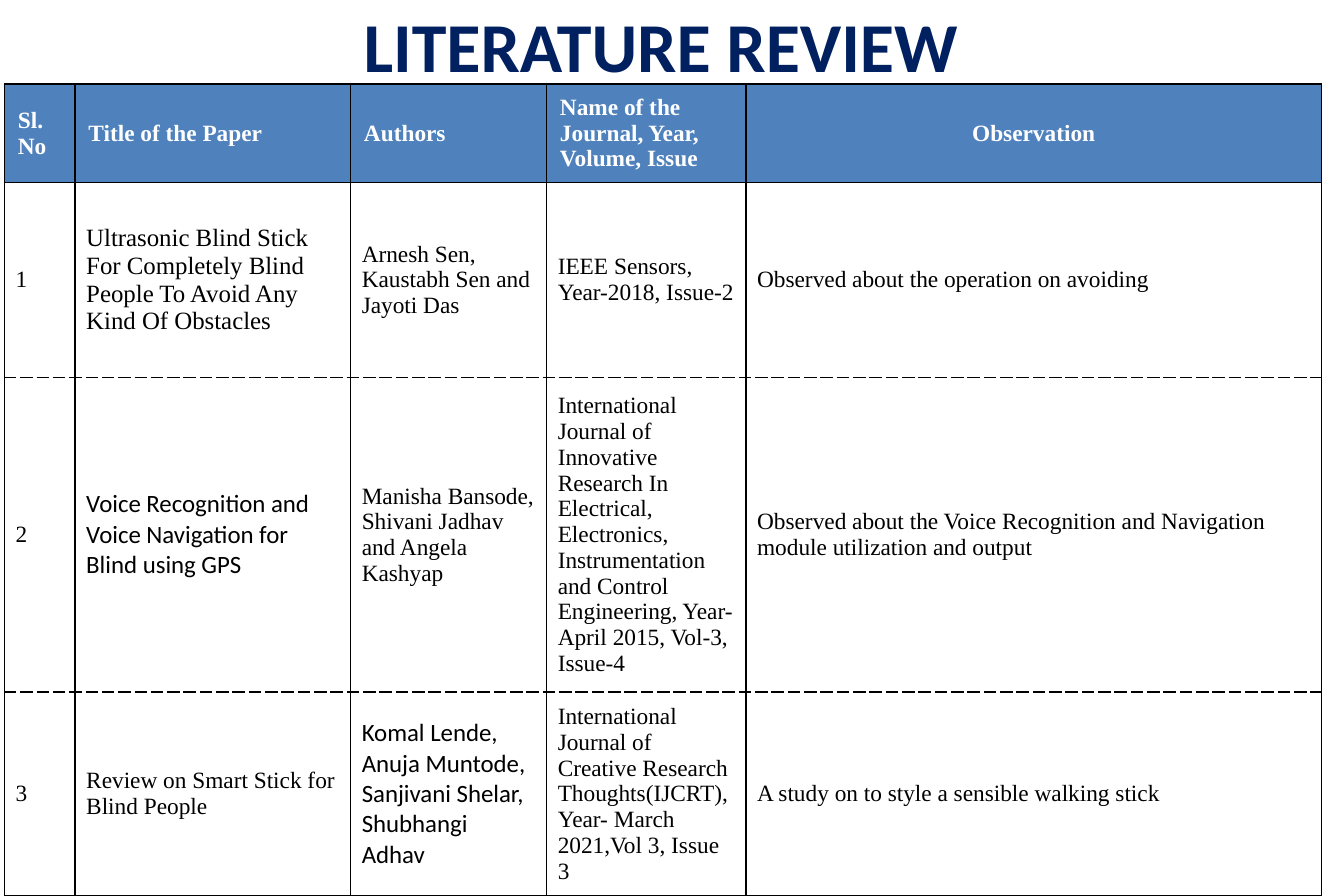
import pptx
import pptx.dml.color
import pptx.enum.text
import pptx.oxml.ns
import pptx.util
from lxml import etree

Inches = pptx.util.Inches
RGBColor = pptx.dml.color.RGBColor
PP_ALIGN = pptx.enum.text.PP_ALIGN
MIDDLE = pptx.enum.text.MSO_ANCHOR.MIDDLE

NAVY = RGBColor(0x00, 0x20, 0x60)
BLUE = RGBColor(0x4F, 0x81, 0xBD)
WHITE = RGBColor(0xFF, 0xFF, 0xFF)
BLACK = RGBColor(0x00, 0x00, 0x00)
SERIF, SANS = "Times New Roman", "Calibri"

TITLE = "LITERATURE REVIEW"
HEADINGS = ["Sl. No", "Title of the Paper", "Authors",
            "Name of the Journal, Year, Volume, Issue", "Observation"]
PAPERS = [
    ["1",
     "Ultrasonic Blind Stick For Completely Blind People To Avoid Any Kind Of Obstacles",
     "Arnesh Sen, Kaustabh Sen and Jayoti Das",
     "IEEE Sensors, Year-2018, Issue-2",
     "Observed about the operation on avoiding"],
    ["2",
     "Voice Recognition and Voice Navigation for Blind using GPS",
     "Manisha Bansode, Shivani Jadhav and Angela Kashyap",
     "International Journal of Innovative Research In Electrical, Electronics, "
     "Instrumentation and Control Engineering, Year-April 2015, Vol-3, Issue-4",
     "Observed about the Voice Recognition and Navigation module utilization and output"],
    ["3",
     "Review on Smart Stick for Blind People",
     "Komal Lende, Anuja Muntode, Sanjivani Shelar, Shubhangi Adhav",
     "International Journal of Creative Research Thoughts(IJCRT), "
     "Year- March 2021,Vol 3, Issue 3",
     "A study on to style a sensible walking stick"],
]
# (row, column) of the cells set in another font or size
CELL_FORMATS = {
    (1, 1): {"size": 16},
    (2, 1): {"size": 16, "font": SANS},
    (3, 2): {"size": 16, "font": SANS},
}
COLUMN_WIDTHS = [0.63, 2.46, 1.75, 1.78, 5.14]
ROW_HEIGHTS = [0.88, 1.74, 2.81, 1.82]


def write_text(holder, text, size=15, font=SERIF, color=BLACK, bold=False,
               align=PP_ALIGN.LEFT, margins=(0.1, 0.05)):
    """Fill a cell or a text frame with one formatted paragraph."""
    holder.vertical_anchor = MIDDLE
    holder.margin_left = holder.margin_right = Inches(margins[0])
    holder.margin_top = holder.margin_bottom = Inches(margins[1])
    frame = getattr(holder, "text_frame", holder)
    frame.word_wrap = True
    paragraph = frame.paragraphs[0]
    paragraph.alignment = align
    run = paragraph.add_run()
    run.text = text
    run.font.size = pptx.util.Pt(size)
    run.font.name = font
    run.font.bold = bold
    run.font.color.rgb = color


def set_borders(cell, dashed_sides):
    properties = cell._tc.get_or_add_tcPr()
    qn = pptx.oxml.ns.qn
    for position, side in enumerate("LRTB"):
        line = etree.Element(qn(f"a:ln{side}"), w=str(pptx.util.Pt(1)))
        fill = etree.SubElement(line, qn("a:solidFill"))
        etree.SubElement(fill, qn("a:srgbClr"), val=str(BLACK))
        dash = "sysDash" if side in dashed_sides else "solid"
        etree.SubElement(line, qn("a:prstDash"), val=dash)
        properties.insert(position, line)


def add_title(slide):
    title = slide.shapes.title
    title.left, title.top = Inches(0.5), Inches(-0.33)
    title.width, title.height = Inches(10.8), Inches(1.46)
    write_text(title.text_frame, TITLE, size=45, font=SANS, color=NAVY, bold=True,
               align=PP_ALIGN.CENTER, margins=(0.11, 0.06))


def add_review_table(slide):
    rows = [HEADINGS] + PAPERS
    last_row, last_column = len(rows) - 1, len(HEADINGS) - 1
    table = slide.shapes.add_table(
        len(rows), len(HEADINGS), Inches(0.04), Inches(0.75),
        Inches(sum(COLUMN_WIDTHS)), Inches(sum(ROW_HEIGHTS))).table
    for column, width in zip(table.columns, COLUMN_WIDTHS):
        column.width = Inches(width)
    for row, height in zip(table.rows, ROW_HEIGHTS):
        row.height = Inches(height)

    for r, texts in enumerate(rows):
        dashed_sides = ("T" if r > 1 else "") + ("B" if 0 < r < last_row else "")
        for c, text in enumerate(texts):
            cell = table.cell(r, c)
            cell.fill.solid()
            cell.fill.fore_color.rgb = WHITE if r else BLUE
            set_borders(cell, dashed_sides)
            if r:
                write_text(cell, text, **CELL_FORMATS.get((r, c), {}))
            else:
                align = PP_ALIGN.CENTER if c == last_column else PP_ALIGN.LEFT
                write_text(cell, text, color=WHITE, bold=True, align=align,
                           margins=(0.12, 0.07))


def main():
    presentation = pptx.Presentation()
    presentation.slide_width, presentation.slide_height = Inches(12), Inches(8)
    slide = presentation.slides.add_slide(presentation.slide_layouts[5])
    add_title(slide)
    add_review_table(slide)
    presentation.save("out.pptx")


if __name__ == "__main__":
    main()
